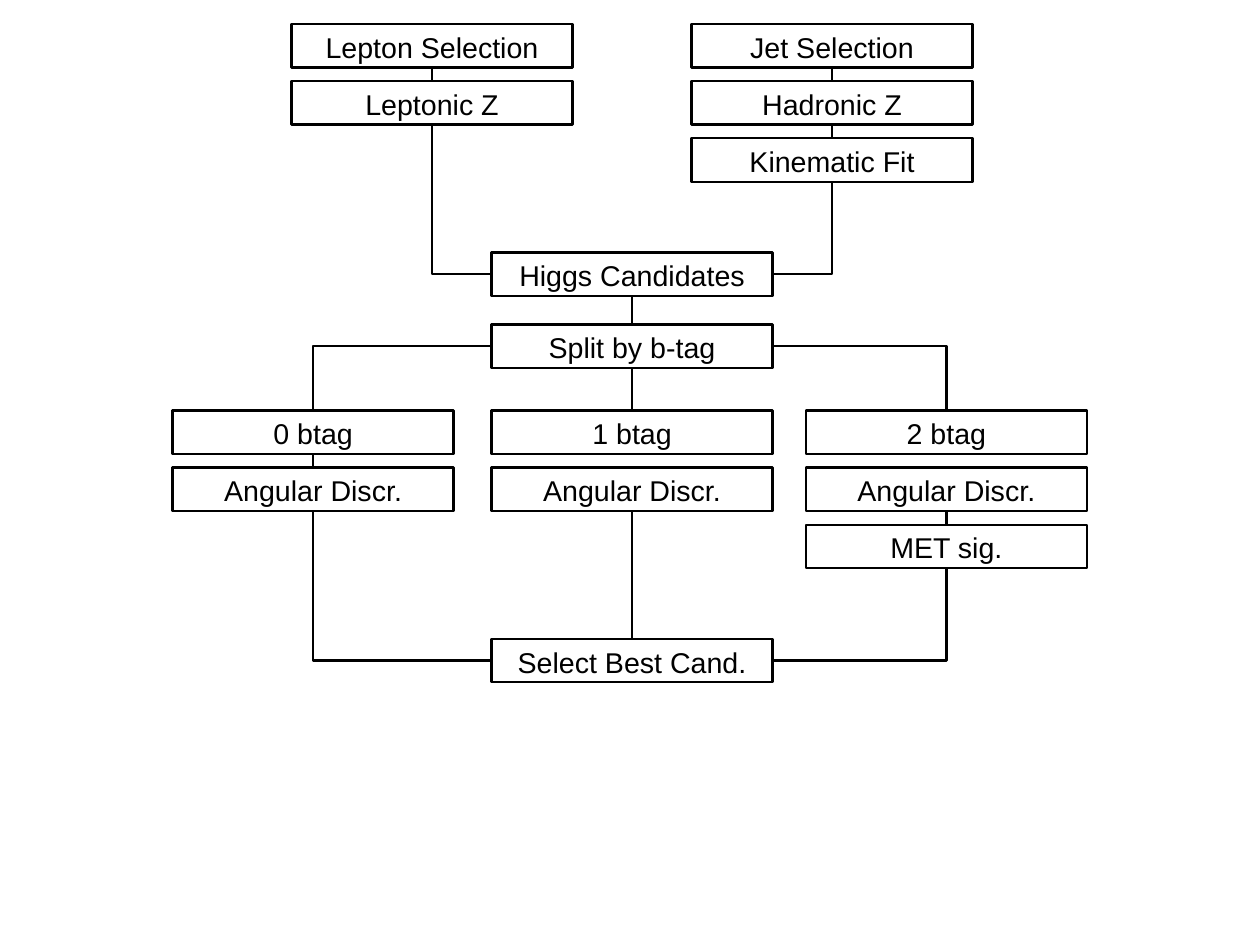
from pptx import Presentation
from pptx.dml.color import RGBColor
from pptx.enum.shapes import MSO_CONNECTOR as CONNECTOR, MSO_SHAPE as SHAPE
from pptx.enum.text import MSO_ANCHOR as ANCHOR, MSO_AUTO_SIZE as AUTO_SIZE, PP_ALIGN as ALIGN
from pptx.oxml.ns import qn
from pptx.oxml.xmlchemy import OxmlElement
from pptx.util import Inches, Pt

BLACK = RGBColor(0x00, 0x00, 0x00)
FONT = "Arial"
LINE_WIDTH = Pt(1.45)
CM_PER_INCH = 2.54
BOX_WIDTH, BOX_HEIGHT = 2.46, 0.38
STEP = 0.5
TOP, LEFT, BOTTOM, RIGHT = range(4)


def add_box(slide, left, top, label):
    box = slide.shapes.add_shape(
        SHAPE.RECTANGLE, Inches(left), Inches(top), Inches(BOX_WIDTH), Inches(BOX_HEIGHT)
    )
    box.shadow.inherit = False
    box.fill.background()
    box.line.color.rgb = BLACK
    box.line.width = LINE_WIDTH
    frame = box.text_frame
    frame.word_wrap = True
    frame.auto_size = AUTO_SIZE.SHAPE_TO_FIT_TEXT
    frame.vertical_anchor = ANCHOR.TOP
    paragraph = frame.paragraphs[0]
    paragraph.alignment = ALIGN.CENTER
    run = paragraph.add_run()
    run.text = label
    run.font.name = FONT
    run.font.size = Pt(18)
    run.font.color.rgb = BLACK
    return box


def add_link(slide, kind, start, start_side, end, end_side):
    connector = slide.shapes.add_connector(kind, 0, 0, 0, 0)
    connector.begin_connect(start, start_side)
    connector.end_connect(end, end_side)
    connector.line.color.rgb = BLACK
    connector.line.width = LINE_WIDTH
    properties = connector.element.spPr
    properties.append(OxmlElement("a:effectLst"))
    if kind == CONNECTOR.ELBOW:
        properties.find(qn("a:prstGeom")).set("prst", "bentConnector2")


def link_down(slide, upper, lower):
    add_link(slide, CONNECTOR.STRAIGHT, upper, BOTTOM, lower, TOP)


def link_corner(slide, center, side, outer, outer_side):
    add_link(slide, CONNECTOR.ELBOW, center, side, outer, outer_side)


def draw_stack(slide, left, top, labels, step=STEP, first_linked=0):
    boxes = [add_box(slide, left, top + row * step, label) for row, label in enumerate(labels)]
    linked = boxes[first_linked:]
    for upper, lower in zip(linked, linked[1:]):
        link_down(slide, upper, lower)
    return boxes


def draw_selection(slide, left, top):
    leptons = draw_stack(slide, left, top, ["Lepton Selection", "Leptonic Z"])
    jets = draw_stack(slide, left + 3.5, top, ["Jet Selection", "Hadronic Z", "Kinematic Fit"])
    higgs, split = draw_stack(
        slide, left + 1.75, top + 2, ["Higgs Candidates", "Split by b-tag"], step=0.63
    )
    link_corner(slide, higgs, LEFT, leptons[-1], BOTTOM)
    link_corner(slide, higgs, RIGHT, jets[-1], BOTTOM)
    return split


def draw_categories(slide, left, top, split):
    middle = left + 2.79
    zero = draw_stack(slide, left, top, ["0 btag", "Angular Discr."])
    one = draw_stack(slide, middle, top, ["1 btag", "Angular Discr."], first_linked=1)
    two = draw_stack(
        slide, left + 5.54, top, ["2 btag", "Angular Discr.", "MET sig."], first_linked=1
    )
    best = add_box(slide, middle, top + 2, "Select Best Cand.")
    link_down(slide, split, one[0])
    link_down(slide, one[-1], best)
    for side, column in ((LEFT, zero), (RIGHT, two)):
        link_corner(slide, split, side, column[0], TOP)
        link_corner(slide, best, side, column[-1], BOTTOM)


def main():
    presentation = Presentation()
    presentation.slide_width = Inches(28 / CM_PER_INCH)
    presentation.slide_height = Inches(21 / CM_PER_INCH)
    slide = presentation.slides.add_slide(presentation.slide_layouts[6])
    split = draw_selection(slide, 2.55, 0.21)
    draw_categories(slide, 1.51, 3.59, split)
    presentation.save("out.pptx")


if __name__ == "__main__":
    main()
